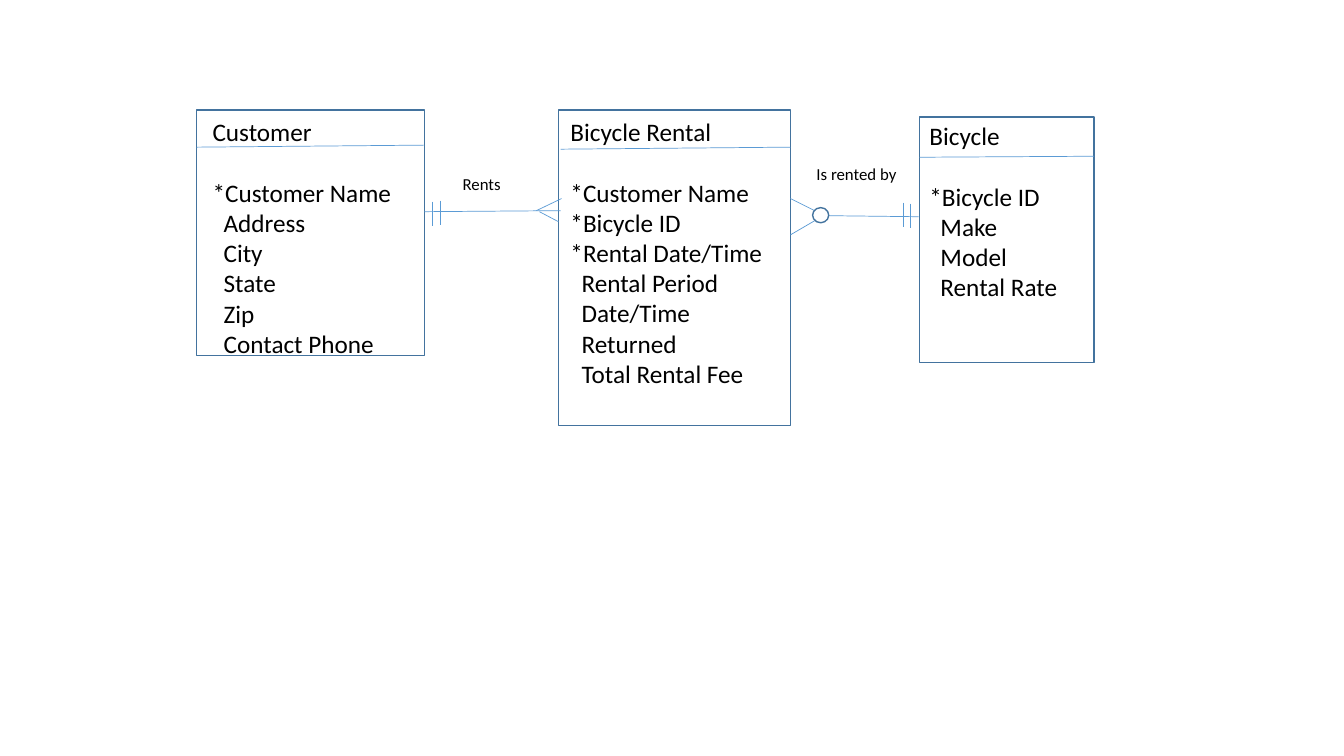
"""Build a bicycle rental entity-relationship diagram slide."""
from dataclasses import dataclass

from lxml import etree
from pptx import Presentation
from pptx import util as u
from pptx.dml.color import RGBColor
from pptx.enum import shapes, text
from pptx.oxml.ns import qn
from pptx.slide import Slide

COLORS = {"outline": "43739E", "link": "5B9BD5", "text": "000000"}
FONT = "Calibri"
Box = tuple[float, float, float, float]


@dataclass(frozen=True)
class Entity:
    """An entity with its frame, text box, divider and attributes."""
    name: str
    frame: Box
    text_box: Box
    divider: Box
    keys: list[str]
    fields: list[str]


@dataclass(frozen=True)
class Label:
    """A relationship name."""
    caption: str
    box: Box


ENTITIES = [
    Entity("Customer", (1.95, 1.09, 2.26, 2.44), (2.01, 1.1, 2.18, 2.52),
           (1.95, 1.46, 4.21, 1.44), ["Customer Name"],
           ["Address", "City", "State", "Zip", "Contact Phone"]),
    Entity("Bicycle Rental", (5.54, 1.09, 2.3, 3.13), (5.56, 1.1, 2.31, 2.83),
           (5.56, 1.48, 7.84, 1.46),
           ["Customer Name", "Bicycle ID", "Rental Date/Time"],
           ["Rental Period", "Date/Time", "Returned", "Total Rental Fee"]),
    Entity("Bicycle", (9.12, 1.16, 1.73, 2.44), (9.12, 1.14, 1.94, 1.92),
           (9.12, 1.56, 10.85, 1.55), ["Bicycle ID"],
           ["Make", "Model", "Rental Rate"]),
]
LABELS = [
    Label("Rents", (4.49, 1.67, 0.58, 0.3)),
    Label("Is rented by", (8, 1.58, 1, 0.3)),
]
RELATIONSHIPS = [(4.21, 2.1, 5.56, 2.09), (8.22, 2.14, 9.11, 2.15)]
CROW_FEET = [
    (5.32, 2.09, 5.57, 1.97), (5.35, 2.1, 5.54, 2.2),
    (7.84, 1.97, 8.08, 2.09), (8.08, 2.19, 7.84, 2.33),
]
ONE_BARS = [(4.29, 2.0), (4.37, 1.99), (8.96, 2.01), (9.03, 2.02)]
BAR_HEIGHT = 0.24
ZERO_MARK = (8.06, 2.06, 0.16, 0.15)


def inches(values: Box) -> list[u.Inches]:
    """Convert plain numbers to lengths."""
    return [u.Inches(v) for v in values]


def add_line(s: Slide, ends: Box) -> None:
    """Draw a thin straight line between two points."""
    line = s.shapes.add_connector(shapes.MSO_CONNECTOR.STRAIGHT, *inches(ends))
    line.line.color.rgb = RGBColor.from_string(COLORS["link"])
    line.line.width = u.Pt(0.5)
    etree.SubElement(line._element.spPr, qn("a:effectLst"))


def add_outline(s: Slide, kind: shapes.MSO_SHAPE, box: Box) -> None:
    """Draw an unfilled shape."""
    sp = s.shapes.add_shape(kind, *inches(box))
    sp.shadow.inherit = False
    sp.fill.background()
    sp.line.color.rgb = RGBColor.from_string(COLORS["outline"])
    sp.line.width = u.Pt(1)


def add_text(s: Slide, box: Box, lines: list[str], size: int, wrap: bool):
    """Add a text box and return its paragraphs."""
    tf = s.shapes.add_textbox(*inches(box)).text_frame
    tf.text = "\n".join(lines)
    tf.word_wrap = wrap
    tf.auto_size = text.MSO_AUTO_SIZE.SHAPE_TO_FIT_TEXT
    for p in tf.paragraphs:
        for r in p.runs:
            r.font.name = FONT
            r.font.size = u.Pt(size)
            r.font.color.rgb = RGBColor.from_string(COLORS["text"])
    return tf.paragraphs


def add_entity(s: Slide, entity: Entity) -> None:
    """Draw an entity with starred keys and indented fields."""
    add_outline(s, shapes.MSO_SHAPE.RECTANGLE, entity.frame)
    add_line(s, entity.divider)
    keys = [f"*{key}" for key in entity.keys]
    lines = [entity.name, *keys, *entity.fields]
    paragraphs = add_text(s, entity.text_box, lines, 18, True)
    paragraphs[1].space_before = u.Pt(22)
    for p in paragraphs[1 + len(keys):]:
        p._p.get_or_add_pPr().set("marL", str(u.Inches(0.11)))


def main() -> None:
    """Create and save the slide."""
    prs = Presentation()
    prs.slide_width, prs.slide_height = u.Inches(13.33), u.Inches(7.5)
    s = prs.slides.add_slide(prs.slide_layouts[6])
    for entity in ENTITIES:
        add_entity(s, entity)
    bars = [(x, y, x, y + BAR_HEIGHT) for x, y in ONE_BARS]
    for ends in RELATIONSHIPS + CROW_FEET + bars:
        add_line(s, ends)
    add_outline(s, shapes.MSO_SHAPE.OVAL, ZERO_MARK)
    for label in LABELS:
        add_text(s, label.box, [label.caption], 12, False)
    prs.save("out.pptx")


if __name__ == "__main__":
    main()
